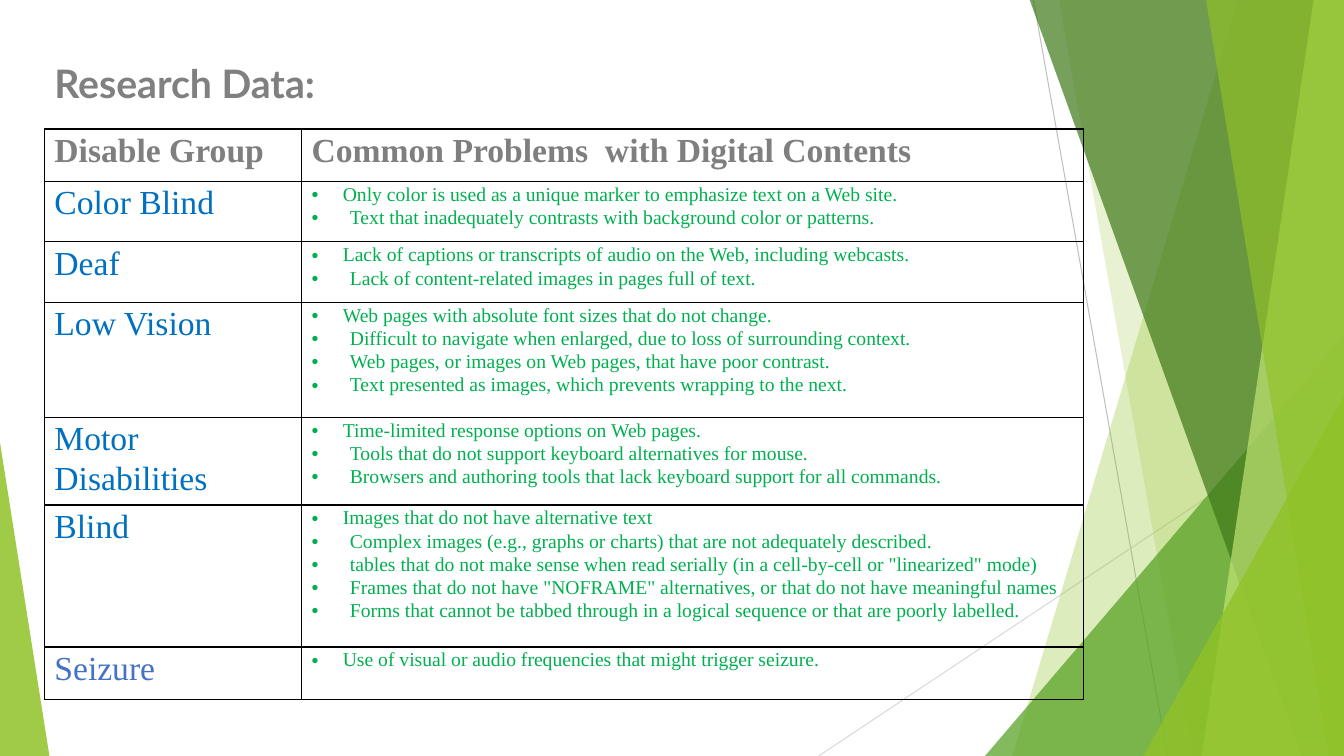
from lxml import etree
from pptx import Presentation
from pptx.dml.color import RGBColor
from pptx.enum import shapes
from pptx.oxml import ns
from pptx.util import Inches, Pt

COLORS = {
    "lime": "90C226", "green": "54A021", "forest": "3F7819", "pale": "C0E474",
    "line_dark": "BFBFBF", "line_light": "D9D9D9", "border": "000000",
    "title": "808080", "header": "7F7F7F", "group": "0070C0",
    "last_group": "4472C4", "problem": "00B050",
}
WIDTH, HEIGHT = 13.33, 7.5
SERIF = "Times New Roman"
HEADERS = ["Disable Group", "Common Problems  with Digital Contents"]
COLUMN_WIDTHS = [2.55, 7.76]
HEADER_HEIGHT = 0.52
GROUPS = [
    ("Color Blind", 0.6, [
        "Only color is used as a unique marker to emphasize text on a Web site.",
        "Text that inadequately contrasts with background color or patterns."]),
    ("Deaf", 0.6, [
        "Lack of captions or transcripts of audio on the Web, including webcasts.",
        "Lack of content-related images in pages full of text."]),
    ("Low Vision", 1.14, [
        "Web pages with absolute font sizes that do not change.",
        "Difficult to navigate when enlarged, due to loss of surrounding context.",
        "Web pages, or images on Web pages, that have poor contrast.",
        "Text presented as images, which prevents wrapping to the next."]),
    ("Motor Disabilities", 0.87, [
        "Time-limited response options on Web pages.",
        "Tools that do not support keyboard alternatives for mouse.",
        "Browsers and authoring tools that lack keyboard support for all commands."]),
    ("Blind", 1.41, [
        "Images that do not have alternative text",
        "Complex images (e.g., graphs or charts) that are not adequately described.",
        'tables that do not make sense when read serially (in a cell-by-cell or "linearized" mode)',
        'Frames that do not have "NOFRAME" alternatives, or that do not have meaningful names',
        "Forms that cannot be tabbed through in a logical sequence or that are poorly labelled."]),
    ("Seizure", 0.52, [
        "Use of visual or audio frequencies that might trigger seizure."]),
]


def rgb(name):
    return RGBColor.from_string(COLORS[name])


def add_child(parent, tag, **attributes):
    return etree.SubElement(parent, ns.qn(tag), attributes)


def paint(shape, color, opacity):
    shape.shadow.inherit = False
    shape.line.fill.background()
    shape.fill.solid()
    shape.fill.fore_color.rgb = rgb(color)
    tint = next(shape.element.iter(ns.qn("a:srgbClr")))
    add_child(tint, "a:alpha", val=str(opacity * 1000))


def add_ray(page, start, end, color):
    ray = page.shapes.add_connector(
        shapes.MSO_CONNECTOR.STRAIGHT, *[Inches(value) for value in start + end])
    ray.line.color.rgb = rgb(color)
    ray.line.width = Pt(0.75)
    add_child(ray.element.spPr, "a:effectLst")


def add_band(page, top_x, bottom_x, color, opacity):
    top = -0.01
    corners = [(WIDTH, top), (WIDTH, HEIGHT), (bottom_x, HEIGHT)]
    builder = page.shapes.build_freeform(Inches(top_x), Inches(top))
    builder.add_line_segments([(Inches(x), Inches(y)) for x, y in corners])
    paint(builder.convert_to_shape(), color, opacity)


def add_wedge(page, left, top, width, apex, color, opacity):
    wedge = page.shapes.add_shape(
        shapes.MSO_SHAPE.ISOSCELES_TRIANGLE,
        Inches(left), Inches(top), Inches(width), Inches(HEIGHT - top))
    wedge.adjustments[0] = apex
    paint(wedge, color, opacity)


def add_span(para, content, font, size, color, bold=False):
    span = para.add_run()
    span.text = content
    span.font.name = font
    span.font.size = Pt(size)
    span.font.bold = bold
    span.font.color.rgb = rgb(color)


def add_bullet(para, indent):
    properties = para._p.get_or_add_pPr()
    properties.set("marL", str(Inches(indent)))
    properties.set("indent", str(-Inches(indent)))
    add_child(properties, "a:buFont", typeface="Arial")
    add_child(properties, "a:buChar", char="•")


def format_cell(cell):
    cell.margin_left = cell.margin_right = Inches(0.1)
    cell.margin_top, cell.margin_bottom = Inches(0.01), 0
    properties = cell._tc.get_or_add_tcPr()
    for side in ("L", "R", "T", "B"):
        border = add_child(properties, f"a:ln{side}", w=str(Pt(1)))
        fill = add_child(border, "a:solidFill")
        add_child(fill, "a:srgbClr", val=COLORS["border"])
    cell.fill.background()


def write_label(cell, content, color, bold=False):
    format_cell(cell)
    para = cell.text_frame.paragraphs[0]
    para.line_spacing = 1.07
    add_span(para, content, SERIF, 24, color, bold)


def write_problems(cell, problems):
    format_cell(cell)
    frame = cell.text_frame
    for index, problem in enumerate(problems):
        para = frame.add_paragraph() if index else frame.paragraphs[0]
        para.line_spacing = 1.07
        add_bullet(para, 0.38 if index else 0.31)
        add_span(para, problem, SERIF, 14, "problem")


def add_problem_table(page):
    heights = [HEADER_HEIGHT] + [height for _, height, _ in GROUPS]
    table = page.shapes.add_table(
        len(heights), len(COLUMN_WIDTHS), Inches(0.44), Inches(1.28),
        Inches(sum(COLUMN_WIDTHS)), Inches(sum(heights))).table
    table.first_row = table.horz_banding = False
    for column, width in zip(table.columns, COLUMN_WIDTHS):
        column.width = Inches(width)
    for row, height in zip(table.rows, heights):
        row.height = Inches(height)
    for index, header in enumerate(HEADERS):
        write_label(table.cell(0, index), header, "header", True)
    for index, (group, _, problems) in enumerate(GROUPS, start=1):
        color = "last_group" if index == len(GROUPS) else "group"
        write_label(table.cell(index, 0), group, color)
        write_problems(table.cell(index, 1), problems)


def add_title(page):
    box = page.shapes.add_textbox(Inches(0.44), Inches(0.54), Inches(3.08), Inches(0.57))
    box.text_frame.word_wrap = False
    add_span(box.text_frame.paragraphs[0], "Research Data:", "Lato", 28, "title", True)


def add_backdrop(page):
    add_ray(page, (10.25, 0), (11.58, HEIGHT), "line_dark")
    add_ray(page, (WIDTH, 4.03), (8.12, HEIGHT), "line_light")
    add_band(page, 12.28, 10.04, "lime", 30)
    add_band(page, 10.5, 11.83, "lime", 20)
    add_wedge(page, 9.77, 3.33, 3.56, 1, "green", 72)
    add_band(page, 10.21, 12.91, "forest", 70)
    add_band(page, 13.03, 11.92, "pale", 70)
    add_band(page, 11.96, 13.18, "lime", 65)
    add_wedge(page, 11.34, 3.93, 1.99, 1, "lime", 80)
    add_wedge(page, 0, 4.39, 0.49, 0, "lime", 85)


def main():
    deck = Presentation()
    deck.slide_width, deck.slide_height = Inches(WIDTH), Inches(HEIGHT)
    page = deck.slides.add_slide(deck.slide_layouts[6])
    add_backdrop(page)
    add_problem_table(page)
    add_title(page)
    deck.save("out.pptx")


if __name__ == "__main__":
    main()
